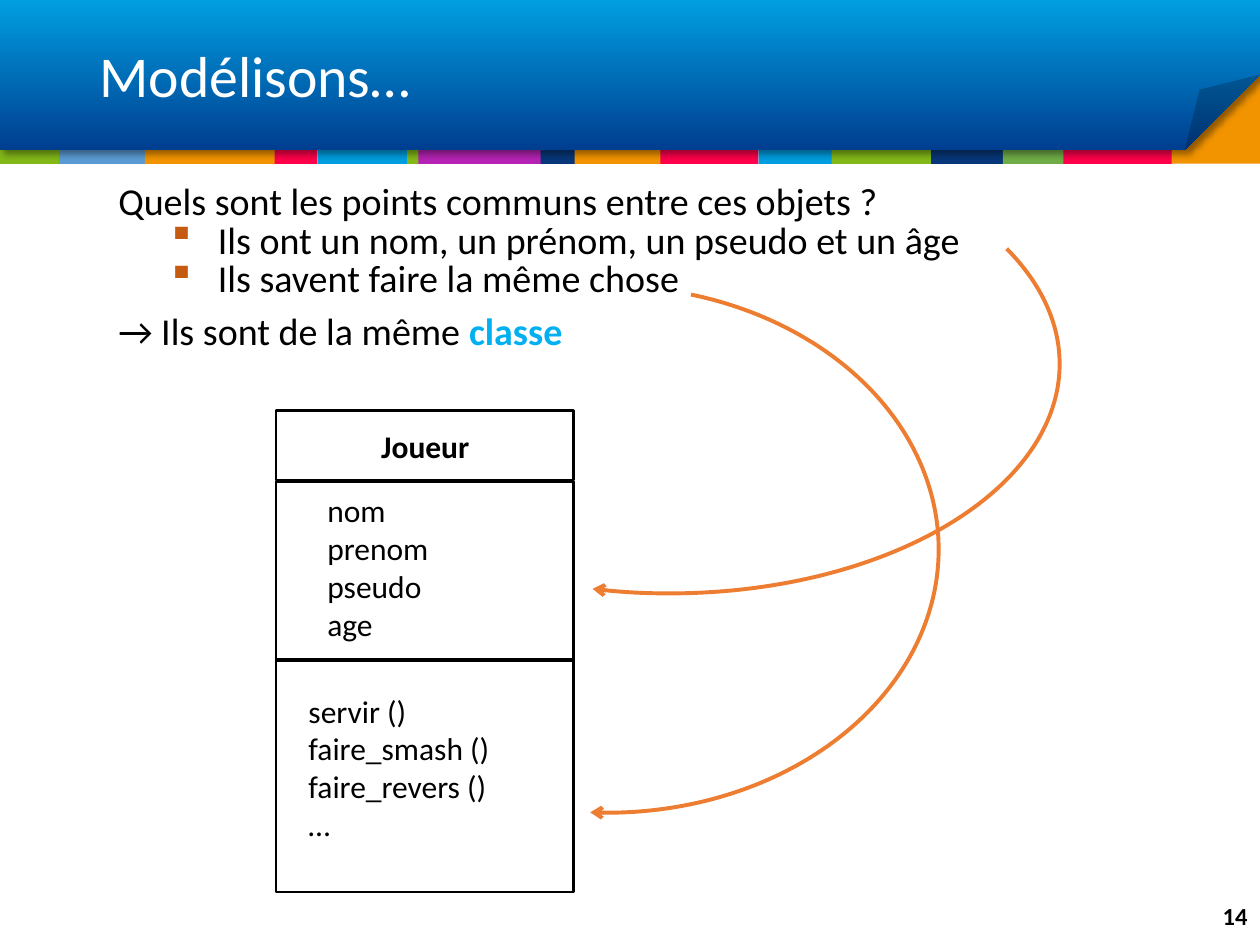
from dataclasses import dataclass

from pptx import Presentation
from pptx.dml.color import RGBColor
from pptx.enum.shapes import MSO_AUTO_SHAPE_TYPE as ShapeType
from pptx.enum.text import MSO_ANCHOR as Anchor, PP_ALIGN as Align
from pptx.oxml import parse_xml
from pptx.oxml.ns import nsdecls, qn
from pptx.util import Emu, Inches, Pt

COLORS = {
    "black": "000000", "white": "FFFFFF", "lime": "83B818", "orange": "F29400",
    "steel": "5B9BD5", "red": "FF014B", "sky": "009EE0", "purple": "B523B4",
    "navy": "073779", "green": "70AD47", "royal": "003E90", "bullet": "C55A11",
    "accent": "00B0F0", "arrow": "ED7D31",
}
FONT = "Calibri"
STRIPE_TOP, STRIPE_HEIGHT = 0.81, 0.49
CLASS_LEFT, CLASS_WIDTH = 2.19, 2.36


@dataclass
class Box:
    left: float
    top: float
    width: float
    height: float

    def lengths(self) -> list[Emu]:
        return [Inches(v) for v in (self.left, self.top, self.width, self.height)]


@dataclass
class Stripe:
    left: float
    width: float
    color: str


@dataclass
class Label:
    box: Box
    lines: list[str]
    size: float = 18
    color: str = "black"
    bold: bool = False
    align: Align = Align.LEFT
    anchor: Anchor = Anchor.TOP
    spacing: float = 1.0


@dataclass
class Point:
    runs: list[str]
    bulleted: bool = False


@dataclass
class Arc:
    box: Box
    start: float
    end: float


STRIPES = [
    Stripe(2.97, 0.51, "lime"), Stripe(0, 0.51, "lime"), Stripe(0.47, 0.69, "steel"),
    Stripe(1.15, 1.1, "orange"), Stripe(2.18, 0.34, "red"), Stripe(2.52, 0.71, "sky"),
    Stripe(3.32, 1.01, "purple"), Stripe(4.29, 0.28, "navy"), Stripe(4.56, 0.71, "orange"),
    Stripe(5.24, 0.78, "red"), Stripe(6.02, 0.61, "sky"), Stripe(6.6, 0.91, "lime"),
    Stripe(7.39, 0.58, "navy"), Stripe(7.96, 0.5, "green"), Stripe(8.44, 0.86, "red"),
]
COMPARTMENTS = [(3.26, 0.55), (3.82, 1.42), (5.23, 1.85)]
LABELS = [
    Label(Box(0.69, 0.25, 8.62, 0.75), ["Modélisons…"], 33, "white",
          anchor=Anchor.MIDDLE, spacing=0.9),
    Label(Box(9.31, 7.07, 0.69, 0.4), ["14"], 14, bold=True,
          align=Align.RIGHT, anchor=Anchor.MIDDLE),
    Label(Box(2.35, 3.34, 2.05, 0.4), ["Joueur"], bold=True, align=Align.CENTER),
    Label(Box(2.5, 3.85, 1.57, 1.62), ["nom", "prenom", "pseudo", "age"]),
    Label(Box(2.35, 5.44, 2.36, 1.31),
          ["servir ()", "faire_smash ()", "faire_revers ()", "…"]),
]
POINTS = [
    Point(["Quels sont les points communs entre ces objets ?"]),
    Point(["Ils ont un nom, un prénom, un pseudo et un âge"], True),
    Point(["Ils savent faire la même chose"], True),
    Point(["→ Ils sont de la même ", "classe"]),
]
ARCS = [
    Arc(Box(2.19, 2.27, 5.26, 4.18), 51.78, 151.08),
    Arc(Box(2.22, 1.07, 6.19, 3.64), 42.64, 119.34),
]


def rgb(name: str) -> RGBColor:
    return RGBColor.from_string(COLORS[name])


def add_plain_shape(slide, kind: ShapeType, box: Box, fill: str = "",
                    line: str = "", width: float = 1.5):
    shape = slide.shapes.add_shape(kind, *box.lengths())
    shape.shadow.inherit = False
    if fill:
        shape.fill.solid()
        shape.fill.fore_color.rgb = rgb(fill)
    else:
        shape.fill.background()
    if line:
        shape.line.color.rgb = rgb(line)
        shape.line.width = Pt(width)
    else:
        shape.line.fill.background()
    return shape


def add_banner(slide) -> None:
    banner = add_plain_shape(slide, ShapeType.FOLDED_CORNER, Box(0, 0, 10, 1.19))
    properties = banner._element.spPr
    guides = properties.find(qn("a:prstGeom")).get_or_add_avLst()
    guides.append(parse_xml(f'<a:gd {nsdecls("a")} name="adj" fmla="val 50000"/>'))
    banner.fill.gradient()
    banner.fill.gradient_angle = 270
    for stop, color, position in zip(banner.fill.gradient_stops, ("sky", "royal"), (0, 1)):
        stop.color.rgb = rgb(color)
        stop.position = position
    properties.find(qn("a:effectLst")).append(parse_xml(
        f'<a:outerShdw {nsdecls("a")} blurRad="{Pt(4)}" dist="{Pt(3)}" dir="2700000" '
        f'algn="tl" rotWithShape="0"><a:srgbClr val="{COLORS["black"]}">'
        '<a:alpha val="40000"/></a:srgbClr></a:outerShdw>'))


def add_text_frame(slide, box: Box):
    frame = slide.shapes.add_textbox(*box.lengths()).text_frame
    frame.word_wrap = True
    return frame


def set_font(paragraph, size: float, color: str, bold: bool = False) -> None:
    font = paragraph.font
    font.name, font.size, font.bold = FONT, Pt(size), bold
    font.color.rgb = rgb(color)


def add_label(slide, label: Label) -> None:
    frame = add_text_frame(slide, label.box)
    frame.vertical_anchor = label.anchor
    frame.text = "\n".join(label.lines)
    for paragraph in frame.paragraphs:
        paragraph.alignment = label.align
        paragraph.line_spacing = label.spacing
        set_font(paragraph, label.size, label.color, label.bold)


def add_bullet(paragraph) -> None:
    paragraph.level = 1
    properties = paragraph._p.get_or_add_pPr()
    properties.set("marL", str(Inches(0.79)))
    properties.set("indent", str(Inches(-0.4)))
    color = parse_xml(f'<a:buClr {nsdecls("a")}><a:srgbClr val="{COLORS["bullet"]}"/></a:buClr>')
    character = parse_xml(f'<a:buChar {nsdecls("a")} char="▪"/>')
    properties.find(qn("a:spcBef")).addnext(color)
    color.addnext(character)


def add_points(slide, box: Box, points: list[Point]) -> None:
    frame = add_text_frame(slide, box)
    for index, point in enumerate(points):
        paragraph = frame.add_paragraph() if index else frame.paragraphs[0]
        paragraph.line_spacing = 0.7
        paragraph.space_before = Pt(3.8 if point.bulleted else 12)
        set_font(paragraph, 21.7, "black")
        if point.bulleted:
            add_bullet(paragraph)
        for position, text in enumerate(point.runs):
            run = paragraph.add_run()
            run.text = text
            if position:
                run.font.bold = True
                run.font.color.rgb = rgb("accent")


def add_arc(slide, arc: Arc) -> None:
    shape = add_plain_shape(slide, ShapeType.ARC, arc.box, line="arrow", width=2.25)
    shape.adjustments[0], shape.adjustments[1] = arc.start, arc.end
    properties = shape._element.spPr
    properties.find(qn("a:xfrm")).set("flipH", "1")
    properties.find(qn("a:ln")).append(
        parse_xml(f'<a:headEnd {nsdecls("a")} type="arrow"/>'))


def main() -> None:
    """Build the slide that models players as a class."""
    presentation = Presentation()
    presentation.slide_width, presentation.slide_height = Inches(10), Inches(7.5)
    slide = presentation.slides.add_slide(presentation.slide_layouts[6])
    add_plain_shape(slide, ShapeType.RECTANGLE, Box(9.21, 0.47, 0.79, 0.83), "orange")
    for stripe in STRIPES:
        box = Box(stripe.left, STRIPE_TOP, stripe.width, STRIPE_HEIGHT)
        add_plain_shape(slide, ShapeType.RECTANGLE, box, stripe.color)
    add_banner(slide)
    for top, height in COMPARTMENTS:
        box = Box(CLASS_LEFT, top, CLASS_WIDTH, height)
        add_plain_shape(slide, ShapeType.RECTANGLE, box, line="black")
    for label in LABELS:
        add_label(slide, label)
    add_points(slide, Box(0.84, 1.46, 8.62, 1.45), POINTS)
    for arc in ARCS:
        add_arc(slide, arc)
    presentation.save("out.pptx")


if __name__ == "__main__":
    main()
